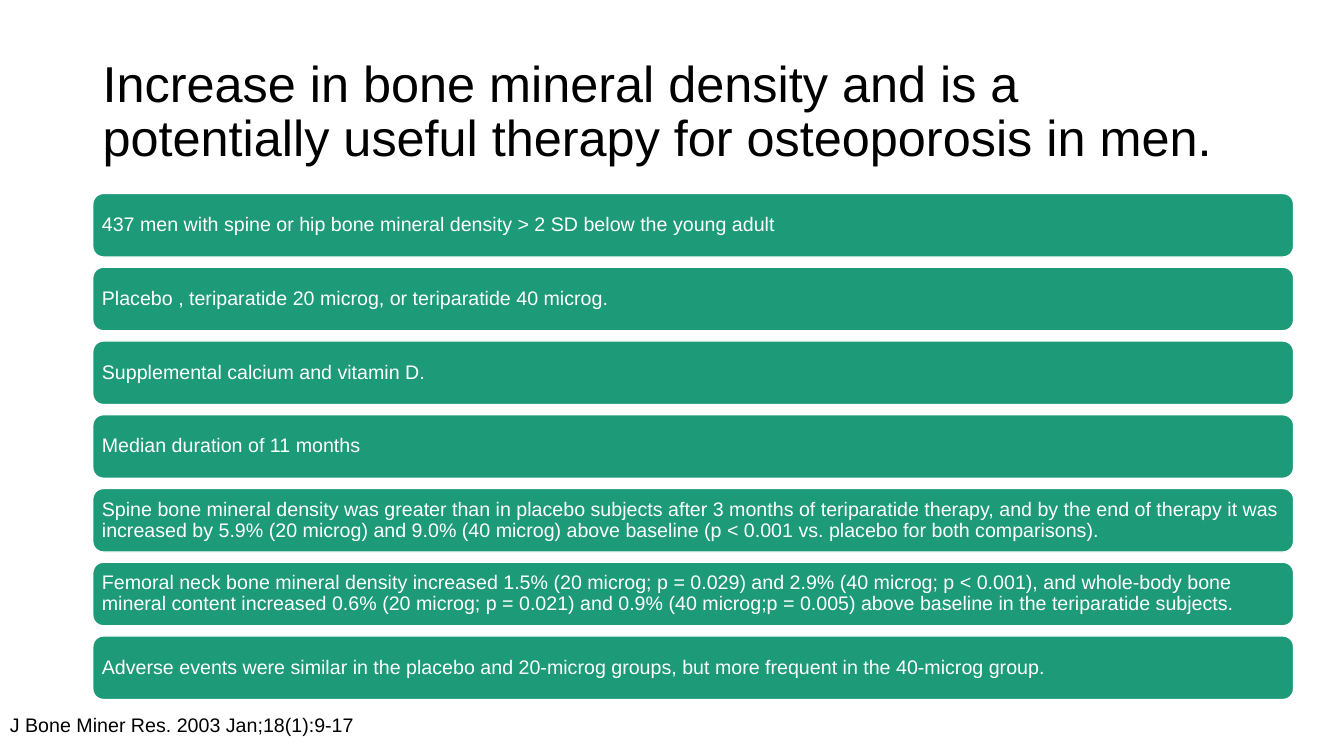
from pptx import Presentation
from pptx.dml.color import RGBColor
from pptx.enum.shapes import MSO_SHAPE
from pptx.enum.text import MSO_ANCHOR, PP_ALIGN
from pptx.util import Inches, Pt

ROUNDED = MSO_SHAPE.ROUNDED_RECTANGLE
TOP, MIDDLE = MSO_ANCHOR.TOP, MSO_ANCHOR.MIDDLE
LEFT = PP_ALIGN.LEFT

TITLE = ("Increase in bone mineral density and is a potentially useful "
         "therapy for osteoporosis in men.")
FINDINGS = [
    "437 men with spine or hip bone mineral density > 2 SD below the young adult",
    "Placebo , teriparatide 20 microg, or teriparatide 40 microg.",
    "Supplemental calcium and vitamin D.",
    "Median duration of 11 months",
    "Spine bone mineral density was greater than in placebo subjects after "
    "3 months of teriparatide therapy, and by the end of therapy it was "
    "increased by 5.9% (20 microg) and 9.0% (40 microg) above baseline "
    "(p < 0.001 vs. placebo for both comparisons).",
    "Femoral neck bone mineral density increased 1.5% (20 microg; p = 0.029) "
    "and 2.9% (40 microg; p < 0.001), and whole-body bone mineral content "
    "increased 0.6% (20 microg; p = 0.021) and 0.9% (40 microg;p = 0.005) "
    "above baseline in the teriparatide subjects.",
    "Adverse events were similar in the placebo and 20-microg groups, but "
    "more frequent in the 40-microg group.",
]
CITATION = "J Bone Miner Res. 2003 Jan;18(1):9-17"


def color(hex_code):
    return RGBColor.from_string(hex_code)


class StudySlide:
    """Holds the style and the current slide."""

    font = "Arial"
    ink = "000000"
    paper = "FFFFFF"
    green = "1D9A78"

    def __init__(self, slide):
        self.slide = slide

    def set_text(self, shape, text, size, ink, anchor, spacing):
        frame = shape.text_frame
        frame.word_wrap = True
        frame.vertical_anchor = anchor
        paragraph = frame.paragraphs[0]
        paragraph.alignment = LEFT
        paragraph.line_spacing = spacing
        run = paragraph.add_run()
        run.text = text
        run.font.name = self.font
        run.font.size = Pt(size)
        run.font.color.rgb = color(ink)

    def label(self, box, text, size, anchor=TOP, spacing=1.0):
        label = self.slide.shapes.add_textbox(*map(Inches, box))
        self.set_text(label, text, size, self.ink, anchor, spacing)

    def bar(self, box, text):
        bar = self.slide.shapes.add_shape(ROUNDED, *map(Inches, box))
        bar.shadow.inherit = False
        bar.fill.solid()
        bar.fill.fore_color.rgb = color(self.green)
        bar.line.color.rgb = color(self.paper)
        bar.line.width = Pt(1)
        frame = bar.text_frame
        frame.margin_left = frame.margin_right = Inches(0.06)
        frame.margin_top = frame.margin_bottom = Inches(0.06)
        self.set_text(bar, text, 14, self.paper, MIDDLE, 0.9)


def main():
    deck = Presentation()
    deck.slide_width, deck.slide_height = Inches(13.33), Inches(7.5)
    study = StudySlide(deck.slides.add_slide(deck.slide_layouts[6]))

    # Title
    study.label((0.92, 0.4, 11.5, 1.45), TITLE, 36, MIDDLE, 0.9)

    # Stack of findings, evenly spaced
    first_top, last_top = 1.92, 6.31
    pitch = (last_top - first_top) / (len(FINDINGS) - 1)
    for row, finding in enumerate(FINDINGS):
        study.bar((0.92, first_top + row * pitch, 11.91, 0.63), finding)

    # Citation
    study.label((0, 7.02, 6.67, 0.34), CITATION, 14)

    deck.save("out.pptx")


if __name__ == "__main__":
    main()
